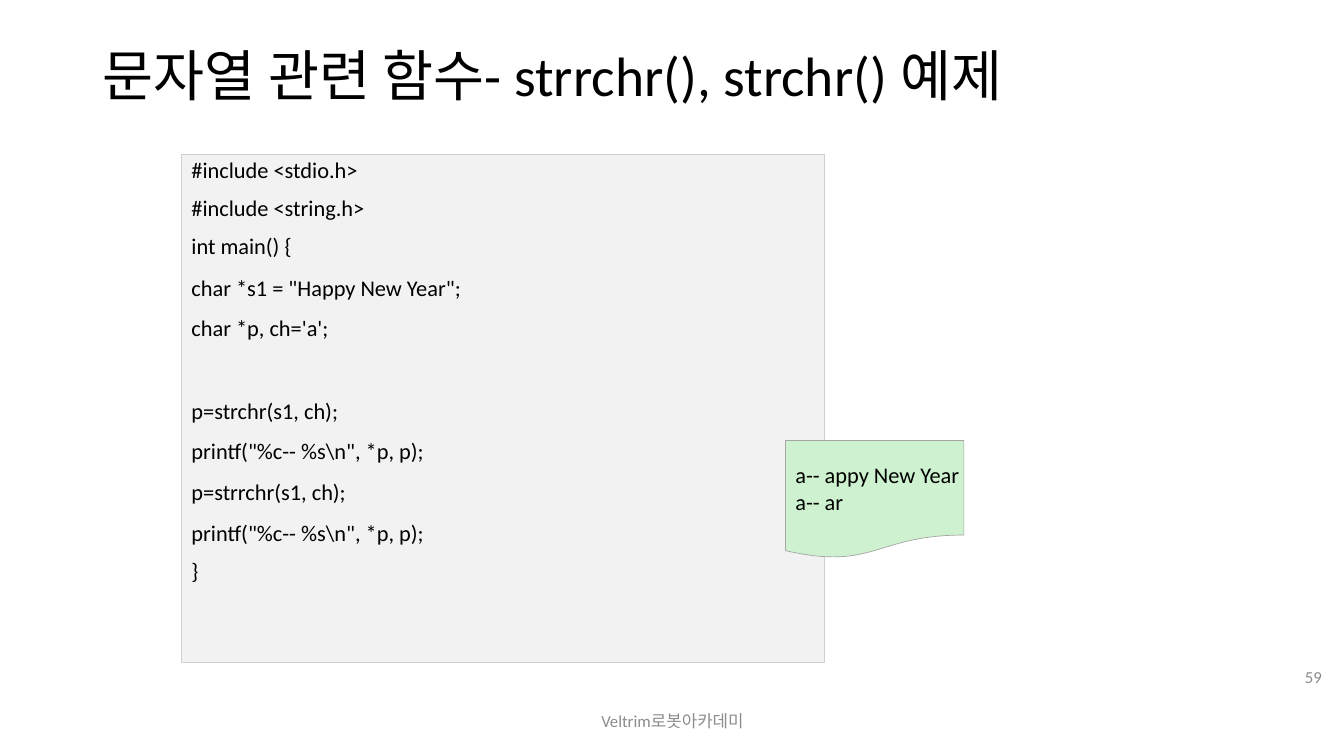
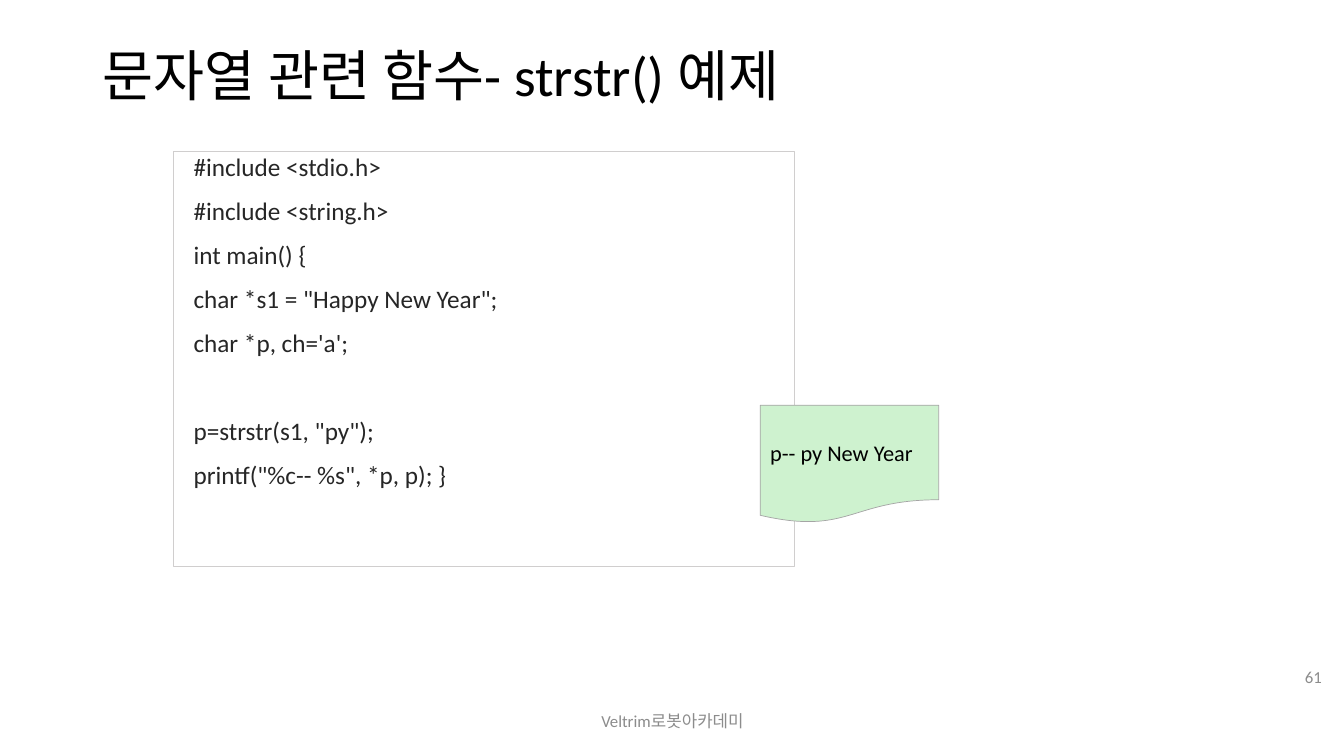
import pptx
import pptx.dml.color
import pptx.enum.shapes
import pptx.enum.text
import pptx.util

Inches, Pt = pptx.util.Inches, pptx.util.Pt
ALIGN = pptx.enum.text.PP_ALIGN
ANCHOR = pptx.enum.text.MSO_ANCHOR
SHAPE = pptx.enum.shapes.MSO_SHAPE

COLORS = {
    "text": "000000", "soft_text": "262626", "footer": "8C8C8C",
    "code_fill": "F2F2F2", "code_line": "D0CECE",
    "output_fill": "CEF2CF", "output_line": "A5A5A5",
}

# Each code line: text, line spacing, whether a gap line stands above it
EXAMPLES = [
    {
        "title": "문자열 관련 함수- strrchr(), strchr() 예제",
        "number": "59",
        "code_box": (1.8, 1.53, 6.38, 5.04),
        "code_fill": "code_fill", "code_color": "text",
        "code_size": 16, "code_inset": 0.1, "space": 10, "gap": 29.5,
        "code": [
            ("#include <stdio.h>", 0.9, False),
            ("#include <string.h>", 0.9, False),
            ("int main() {", 0.9, False),
            ('char *s1 = "Happy New Year";', 1.0, False),
            ("char *p, ch='a';", 1.0, False),
            ("p=strchr(s1, ch);", 1.0, True),
            ('printf("%c-- %s\\n", *p, p);', 1.0, False),
            ("p=strrchr(s1, ch);", 1.0, False),
            ('printf("%c-- %s\\n", *p, p);', 1.0, False),
            ("}", 0.9, False),
        ],
        "output_box": (7.79, 4.37, 1.77, 1.17),
        "output": ["a-- appy New Year", "a-- ar"],
    },
    {
        "title": "문자열 관련 함수- strstr() 예제",
        "number": "61",
        "code_box": (1.72, 1.5, 6.16, 4.12),
        "code_fill": None, "code_color": "soft_text",
        "code_size": 18, "code_inset": 0.2, "space": 13, "gap": 31.5,
        "code": [
            ("#include <stdio.h>", 0.85, False),
            ("#include <string.h>", 0.85, False),
            ("int main() {", 0.85, False),
            ('char *s1 = "Happy New Year";', 0.85, False),
            ("char *p, ch='a';", 0.85, False),
            ('p=strstr(s1, "py");', 0.85, True),
            ('printf("%c-- %s", *p, p); }', 0.85, False),
        ],
        "output_box": (7.54, 4.02, 1.77, 1.17),
        "output": ["p-- py New Year"],
    },
]


def write_text(shape, lines, size, color, align=ALIGN.LEFT,
               anchor=ANCHOR.MIDDLE, wrap=True):
    """Fill a shape with one paragraph per line and return the paragraphs."""
    frame = shape.text_frame
    frame.text = "\n".join(lines)
    frame_format = {"vertical_anchor": anchor, "word_wrap": wrap,
                    "auto_size": pptx.enum.text.MSO_AUTO_SIZE.NONE}
    for name, value in frame_format.items():
        setattr(frame, name, value)
    for paragraph in frame.paragraphs:
        paragraph.alignment = align
        for name, value in {"name": "Calibri", "size": Pt(size)}.items():
            setattr(paragraph.font, name, value)
        paragraph.font.color.rgb = pptx.dml.color.RGBColor.from_string(COLORS[color])
    return frame.paragraphs


def add_panel(slide, kind, box, fill, line, line_width):
    """Add an outlined preset shape without shadow."""
    shape = slide.shapes.add_shape(kind, *map(Inches, box))
    shape.shadow.inherit = False
    if fill:
        shape.fill.solid()
        shape.fill.fore_color.rgb = pptx.dml.color.RGBColor.from_string(COLORS[fill])
    else:
        shape.fill.background()
    shape.line.color.rgb = pptx.dml.color.RGBColor.from_string(COLORS[line])
    shape.line.width = Pt(line_width)
    return shape


presentation = pptx.Presentation()
presentation.slide_width = Inches(13.33)
presentation.slide_height = Inches(7.5)
layout = presentation.slide_layouts[5]

# Title place shared by all slides
title_place = {"left": 0.92, "top": 0.4, "width": 11.5, "height": 0.75}
for name, value in title_place.items():
    setattr(layout.placeholders[0], name, Inches(value))

for example in EXAMPLES:
    slide = presentation.slides.add_slide(layout)

    # Title
    title = write_text(slide.shapes.title, [example["title"]], 39.6, "text")
    title[0].line_spacing = 0.9

    # Footer and slide number
    for text, box, align in [
        ("Veltrim로봇아카데미", (4.42, 6.95, 4.5, 0.4), ALIGN.CENTER),
        (example["number"], (12.59, 6.51, 0.62, 0.4), ALIGN.RIGHT),
    ]:
        text_box = slide.shapes.add_textbox(*map(Inches, box))
        write_text(text_box, [text], 12, "footer", align)

    # Code listing
    code_panel = add_panel(slide, SHAPE.RECTANGLE, example["code_box"],
                           example["code_fill"], "code_line", 0.75)
    code_panel.text_frame.margin_left = Inches(example["code_inset"])
    paragraphs = write_text(code_panel, [line[0] for line in example["code"]],
                            example["code_size"], example["code_color"],
                            anchor=ANCHOR.TOP)
    for index, (text, spacing, has_gap) in enumerate(example["code"]):
        paragraphs[index].line_spacing = spacing
        if index:
            space = example["space"] + (example["gap"] if has_gap else 0)
            paragraphs[index].space_before = Pt(space)

    # Program output
    output_panel = add_panel(slide, SHAPE.FLOWCHART_DOCUMENT, example["output_box"],
                             "output_fill", "output_line", 0.5)
    write_text(output_panel, example["output"], 16, "text", wrap=False)

presentation.save("out.pptx")
